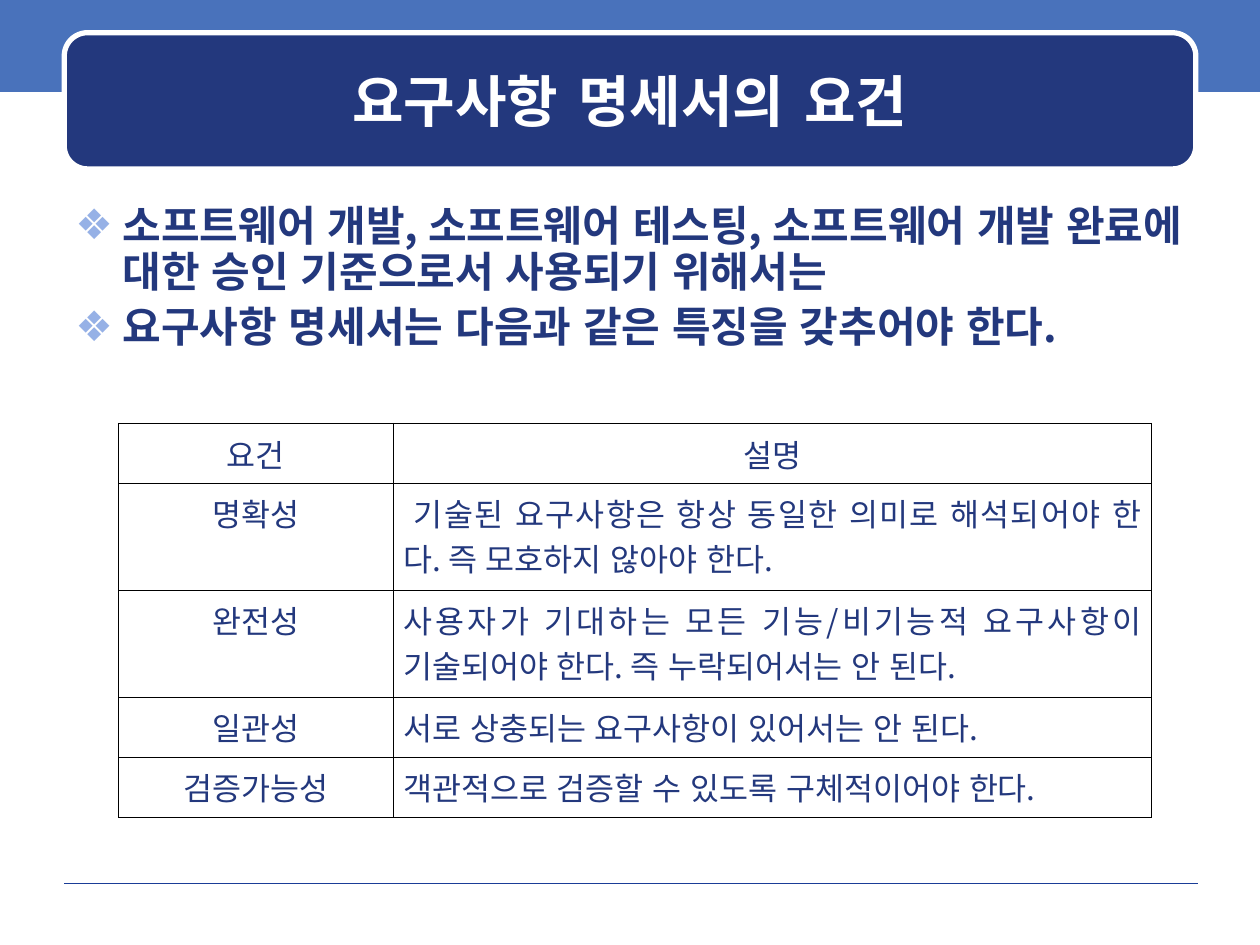
from lxml import etree
from pptx import Presentation
from pptx.dml.color import RGBColor
from pptx.enum.lang import MSO_LANGUAGE_ID
from pptx.enum.shapes import MSO_CONNECTOR, MSO_SHAPE
from pptx.enum.text import MSO_ANCHOR, PP_ALIGN
from pptx.oxml.ns import qn
from pptx.util import Pt

RECT, ROUND = MSO_SHAPE.RECTANGLE, MSO_SHAPE.ROUNDED_RECTANGLE
STRAIGHT = MSO_CONNECTOR.STRAIGHT
TOP, MIDDLE = MSO_ANCHOR.TOP, MSO_ANCHOR.MIDDLE
CENTER, JUSTIFY, LEFT = PP_ALIGN.CENTER, PP_ALIGN.JUSTIFY, PP_ALIGN.LEFT
LANG = MSO_LANGUAGE_ID.KOREAN

WHITE = RGBColor(0xFF, 0xFF, 0xFF)
BLACK = RGBColor(0x00, 0x00, 0x00)
NAVY = RGBColor(0x23, 0x38, 0x7D)
BLUE = RGBColor(0x49, 0x72, 0xBB)
RULE = RGBColor(0x1A, 0x3D, 0x97)
PALE = RGBColor(0x96, 0xB1, 0xE6)

SANS, KOREAN = "DejaVu Sans", "Noto Sans CJK KR"
HEAD = {"size": Pt(32), "name": SANS, "bold": True, "language_id": LANG}
BODY = {"size": Pt(24), "name": KOREAN, "bold": True, "language_id": LANG}
CELL = {"size": Pt(18), "name": KOREAN, "bold": False, "language_id": LANG}

TITLE = "요구사항 명세서의 요건"
POINTS = [
    "소프트웨어 개발, 소프트웨어 테스팅, 소프트웨어 개발 완료에 대한 승인 기준으로서 사용되기 위해서는",
    "요구사항 명세서는 다음과 같은 특징을 갖추어야 한다.",
]
ROWS = [
    ("요건", "설명"),
    ("명확성", "기술된 요구사항은 항상 동일한 의미로 해석되어야 한다. 즉 모호하지 않아야 한다."),
    ("완전성", "사용자가 기대하는 모든 기능/비기능적 요구사항이 기술되어야 한다. 즉 누락되어서는 안 된다."),
    ("일관성", "서로 상충되는 요구사항이 있어서는 안 된다."),
    ("검증가능성", "객관적으로 검증할 수 있도록 구체적이어야 한다."),
]
WIDTHS = [157, 433.4]
HEIGHTS = [34.2, 61.2, 61.2, 34.2, 34.2]


def put(item, values):
    """Set each named value on the item."""
    for name, value in values.items():
        setattr(item, name, value)


def node(parent, tag, **values):
    """Add an XML element with attributes to its parent."""
    return etree.SubElement(parent, qn(tag), values)


def write(para, text, style, color, align):
    """Write one styled run in a paragraph."""
    para.alignment = align
    run = para.add_run()
    run.text = text
    put(run.font, style)
    run.font.color.rgb = color
    node(run.font._element, "a:ea", typeface=style["name"])


def block(slide, kind, box, fill):
    """Draw a filled shape without a line or shadow."""
    shape = slide.shapes.add_shape(kind, *map(Pt, box))
    shape.shadow.inherit = False
    shape.fill.solid()
    shape.fill.fore_color.rgb = fill
    shape.line.fill.background()
    return shape


def frame(slide, box):
    """Add a wrapping text box and return its frame."""
    text = slide.shapes.add_textbox(*map(Pt, box)).text_frame
    text.word_wrap = True
    return text


def banner(slide, box):
    """Draw the framed title panel and its title."""
    left, top, width, height = box
    panel = block(slide, ROUND, box, NAVY)
    panel.adjustments[0] = 0.17
    panel.line.color.rgb = WHITE
    panel.line.width = Pt(3)
    text = frame(slide, (left + 6.5, top + 6.5, width - 13, height - 14))
    text.vertical_anchor = MIDDLE
    write(text.paragraphs[0], TITLE, HEAD, WHITE, CENTER)


def rule(slide, left, top, width):
    """Draw the thin line at the foot."""
    line = slide.shapes.add_connector(
        STRAIGHT, Pt(left), Pt(top), Pt(left + width), Pt(top))
    line.line.color.rgb = RULE
    line.line.width = Pt(0.25)
    node(line._element.spPr, "a:effectLst")


def points(slide, box):
    """Place the bulleted points."""
    text = frame(slide, box)
    for i, point in enumerate(POINTS):
        para = text.add_paragraph() if i else text.paragraphs[0]
        put(para, {"line_spacing": 0.9, "space_before": Pt(6 if i else 0)})
        props = para._p.get_or_add_pPr()
        props.set("marL", str(Pt(27)))
        props.set("indent", str(Pt(-27)))
        node(node(props, "a:buClr"), "a:srgbClr", val=str(PALE))
        node(props, "a:buFont", typeface=SANS)
        node(props, "a:buChar", char="❖")
        write(para, point, BODY, NAVY, LEFT)


def border(cell):
    """Outline a cell on all four sides."""
    props = cell._tc.get_or_add_tcPr()
    for i, side in enumerate(("a:lnL", "a:lnR", "a:lnT", "a:lnB")):
        line = etree.Element(qn(side), w=str(Pt(0.45)))
        node(node(line, "a:solidFill"), "a:srgbClr", val=str(BLACK))
        props.insert(i, line)


def grid(slide, box):
    """Place the table of requirements."""
    table = slide.shapes.add_table(len(ROWS), len(WIDTHS), *map(Pt, box)).table
    put(table, {"first_row": False, "horz_banding": False})
    for col, width in zip(table.columns, WIDTHS):
        col.width = Pt(width)
    for r, (row, height) in enumerate(zip(table.rows, HEIGHTS)):
        row.height = Pt(height)
        for c, cell in enumerate(row.cells):
            put(cell, {"margin_left": Pt(5.8), "margin_right": Pt(5.8),
                       "margin_top": Pt(3.6), "margin_bottom": Pt(3.6),
                       "vertical_anchor": TOP if r else MIDDLE})
            cell.fill.background()
            border(cell)
            para = cell.text_frame.paragraphs[0]
            write(para, ROWS[r][c], CELL, NAVY, JUSTIFY if r and c else CENTER)
    first = table.cell(1, 1).text_frame.paragraphs[0]
    first._p.get_or_add_pPr().set("indent", str(Pt(6)))


def main():
    """Build the slide and save it."""
    deck = Presentation()
    put(deck, {"slide_width": Pt(720), "slide_height": Pt(540)})
    slide = deck.slides.add_slide(deck.slide_layouts[6])
    block(slide, RECT, (0, -2.2, 720, 54.7), BLUE)
    rule(slide, 36.7, 504.7, 648)
    banner(slide, (36.7, 18.7, 646.6, 77.8))
    points(slide, (36, 113.8, 648, 94.3))
    grid(slide, (67.7, 241.9, sum(WIDTHS), sum(HEIGHTS)))
    deck.save("out.pptx")


if __name__ == "__main__":
    main()
